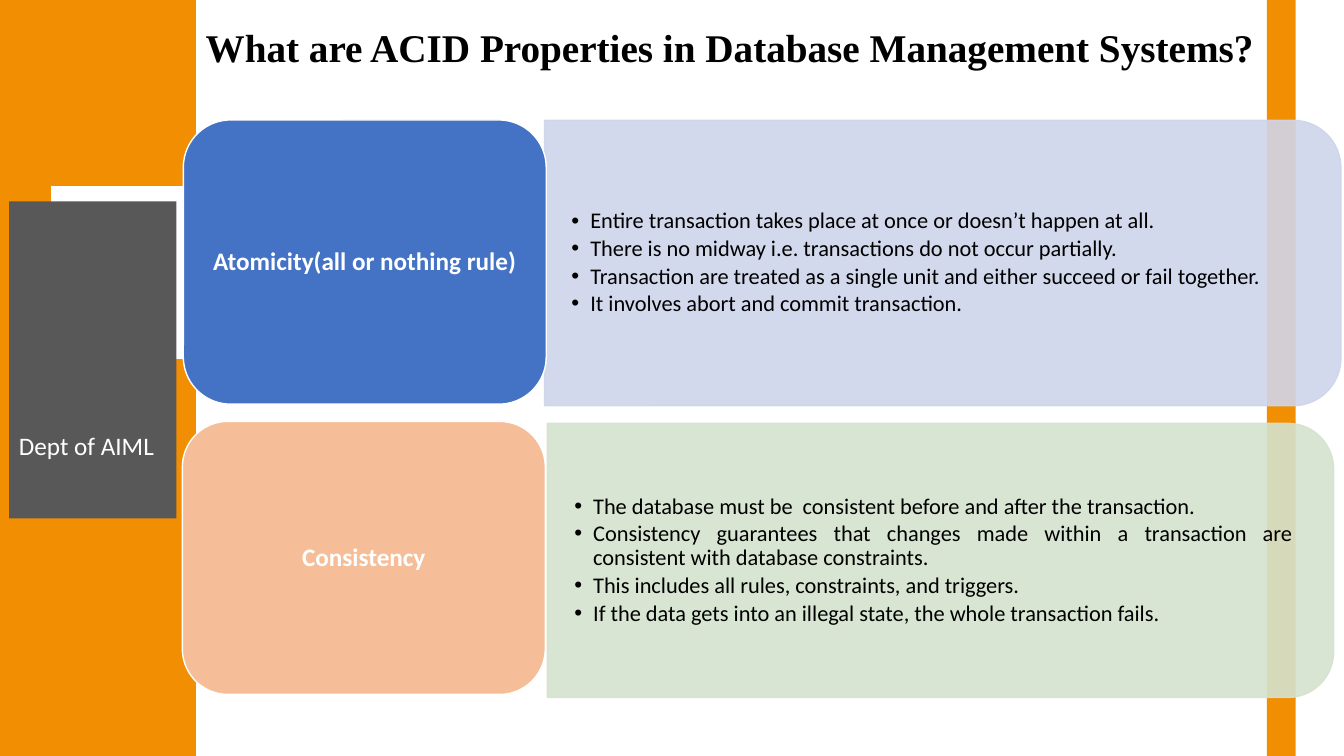
from lxml import etree
from pptx import Presentation
from pptx import util as u
from pptx.dml.color import RGBColor
from pptx.enum import shapes, text
from pptx.oxml.ns import qn

COLOURS = {
    "orange": "F28E01", "white": "FFFFFF", "grey": "585858", "black": "000000",
    "blue": "4472C4", "pale blue": "CFD5EA", "peach": "F6BE98", "pale green": "D5E3CF",
}
SHAPE = shapes.MSO_SHAPE
ALIGN = text.PP_ALIGN
ANCHOR = text.MSO_ANCHOR
FIT = text.MSO_AUTO_SIZE


class AcidSlide:
    heading = {"name": "Times New Roman", "size": u.Pt(28), "bold": True}
    label = {"name": "Calibri", "size": u.Pt(18), "bold": True}
    plain = {"name": "Calibri", "size": u.Pt(18), "bold": False}
    body = {"name": "Calibri", "size": u.Pt(16), "bold": False}

    def __init__(self, slide):
        self.slide = slide

    def rgb(self, colour):
        return RGBColor.from_string(COLOURS[colour])

    def apply(self, target, values):
        for name, value in values.items():
            setattr(target, name, value)

    def place(self, box):
        return [u.Pt(length) for length in box]

    def fill_text(self, frame, lines, font, colour, paragraph_format, frame_format, bullet=False):
        self.apply(frame, {"word_wrap": True, **frame_format})
        for index, line in enumerate(lines):
            paragraph = frame.add_paragraph() if index else frame.paragraphs[0]
            self.apply(paragraph, paragraph_format)
            if bullet:
                properties = paragraph._p.get_or_add_pPr()
                properties.set("marL", str(u.Pt(13.5)))
                properties.set("indent", str(u.Pt(-13.5)))
                etree.SubElement(properties, qn("a:buFont")).set("typeface", "Arial")
                etree.SubElement(properties, qn("a:buChar")).set("char", "•")
            run = paragraph.add_run()
            run.text = line
            self.apply(run.font, font)
            run.font.color.rgb = self.rgb(colour)

    def title(self, box, words):
        title = self.slide.shapes.title
        self.apply(title, dict(zip(("left", "top", "width", "height"), self.place(box))))
        self.fill_text(title.text_frame, [words], self.heading, "black",
                       {"alignment": ALIGN.LEFT, "line_spacing": 0.9},
                       {"vertical_anchor": ANCHOR.MIDDLE, "auto_size": FIT.NONE})

    def block(self, box, fill, kind=SHAPE.RECTANGLE, line=None):
        block = self.slide.shapes.add_shape(kind, *self.place(box))
        block.shadow.inherit = False
        block.fill.solid()
        block.fill.fore_color.rgb = self.rgb(fill)
        if line:
            block.line.color.rgb = self.rgb(line)
            block.line.width = u.Pt(1)
        else:
            block.line.fill.background()
        return block

    def property_label(self, box, fill, words):
        label = self.block(box, fill, SHAPE.ROUNDED_RECTANGLE, "white")
        self.fill_text(label.text_frame, [words], self.label, "white",
                       {"alignment": ALIGN.CENTER, "line_spacing": 0.9, "space_after": u.Pt(6.3)},
                       {"vertical_anchor": ANCHOR.MIDDLE, "margin_left": u.Pt(5),
                        "margin_right": u.Pt(5), "margin_top": u.Pt(3), "margin_bottom": u.Pt(3)})

    def rules_panel(self, box, fill, rules):
        left, top, width, height = box
        shift = (width - height) / 2
        panel = self.block((left + shift, top - shift, height, width), fill,
                           SHAPE.ROUND_2_SAME_RECTANGLE, fill)
        panel.rotation = 90
        for colour in panel._element.spPr.iter(qn("a:srgbClr")):
            etree.SubElement(colour, qn("a:alpha")).set("val", "90000")
        self.note((left, top + 10, width - 10, height - 20), rules, self.body, "black",
                  {"alignment": ALIGN.JUSTIFY, "level": 1, "line_spacing": 0.9,
                   "space_after": u.Pt(2.4)},
                  {"vertical_anchor": ANCHOR.MIDDLE, "margin_left": u.Pt(19.2),
                   "margin_right": u.Pt(19.2), "margin_top": u.Pt(10),
                   "margin_bottom": u.Pt(10)}, True)

    def note(self, box, lines, *style):
        note = self.slide.shapes.add_textbox(*self.place(box))
        self.fill_text(note.text_frame, lines, *style)


PROPERTIES = [
    ("Atomicity(all or nothing rule)", "blue", (131, 85.7, 259.2, 203),
     "pale blue", (389, 86, 568.8, 203.8), [
         "Entire transaction takes place at once or doesn’t happen at all.",
         "There is no midway i.e. transactions do not occur partially.",
         "Transaction are treated as a single unit and either succeed or fail together.",
         "It involves abort and commit transaction.",
     ]),
    ("Consistency", "peach", (130.3, 301, 259.2, 195),
     "pale green", (391, 302.4, 561.6, 195.8), [
         "The database must be  consistent before and after the transaction.",
         "Consistency guarantees that changes made within a transaction are "
         "consistent with database constraints.",
         "This includes all rules, constraints, and triggers.",
         "If the data gets into an illegal state, the whole transaction fails.",
     ]),
]


def main():
    deck = Presentation()
    deck.slide_width, deck.slide_height = u.Pt(960), u.Pt(540)
    acid = AcidSlide(deck.slides.add_slide(deck.slide_layouts[5]))
    acid.title((139.7, 0, 765.4, 71.3), "What are ACID Properties in Database Management Systems?")
    acid.block((-2, 0, 142, 540), "orange")
    acid.block((36.5, 133, 98, 123.4), "white")
    acid.block((6.5, 143.8, 119.5, 226.5), "grey")
    acid.note((6.5, 304, 119.5, 29), ["Dept of AIML"], acid.plain, "white",
              {"alignment": ALIGN.LEFT}, {"auto_size": FIT.SHAPE_TO_FIT_TEXT})
    acid.block((905, 0, 20.5, 540), "orange")
    for name, label_fill, label_box, panel_fill, panel_box, rules in PROPERTIES:
        acid.rules_panel(panel_box, panel_fill, rules)
        acid.property_label(label_box, label_fill, name)
    deck.save("out.pptx")


if __name__ == "__main__":
    main()
